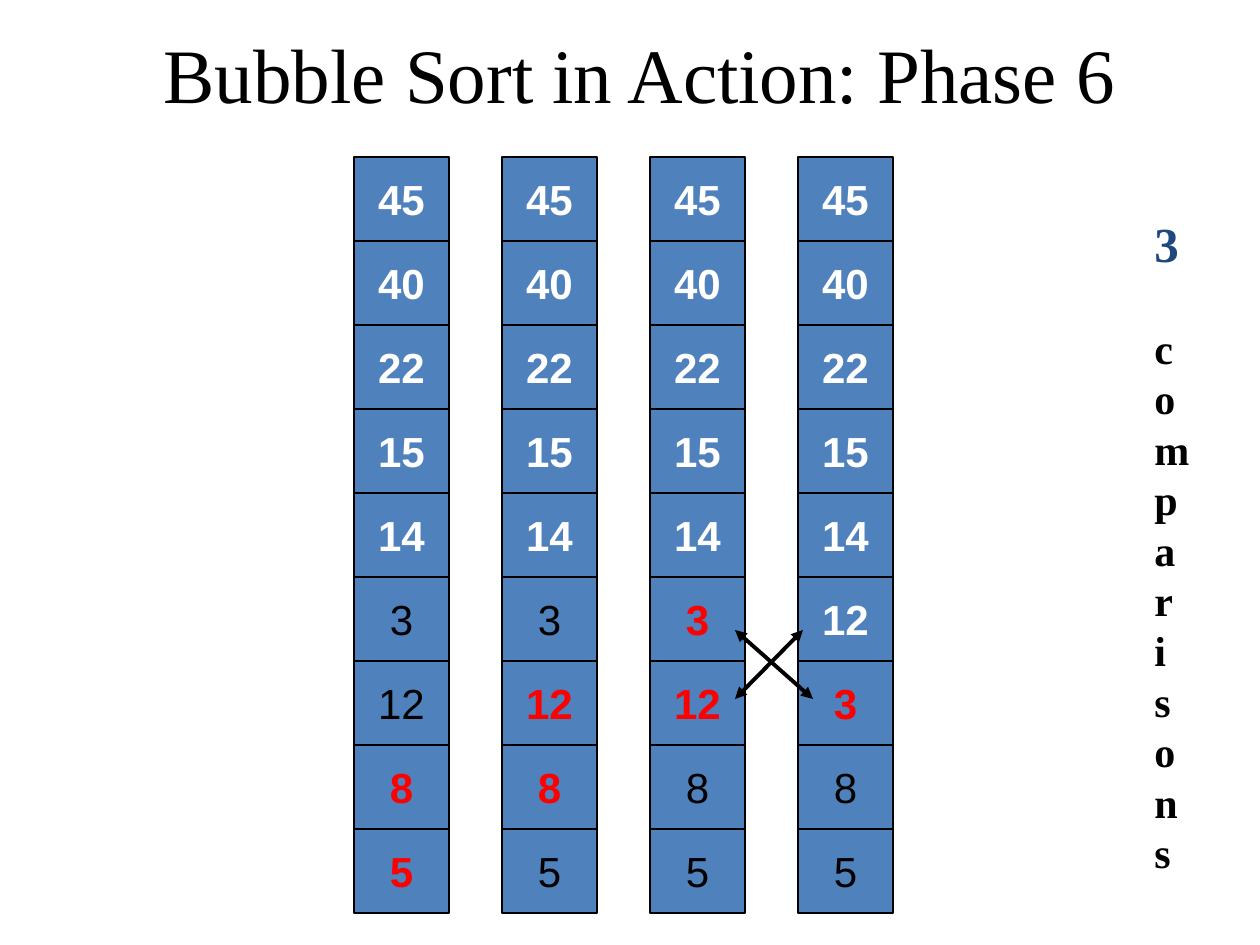
"""Build the slide showing phase 6 of a bubble sort, one column per step."""
from lxml import etree
from pptx import Presentation
from pptx import util as u
from pptx.dml.color import RGBColor
from pptx.enum import shapes, text
from pptx.oxml.ns import qn

TITLE = "Bubble Sort in Action: Phase 6"
BEFORE_SWAP = [45, 40, 22, 15, 14, 3, 12, 8, 5]
AFTER_SWAP = [45, 40, 22, 15, 14, 12, 3, 8, 5]
STEPS = [
    {"values": BEFORE_SWAP, "sorted": 5, "compared": (7, 8)},
    {"values": BEFORE_SWAP, "sorted": 5, "compared": (6, 7)},
    {"values": BEFORE_SWAP, "sorted": 5, "compared": (5, 6)},
    {"values": AFTER_SWAP, "sorted": 6, "compared": (6,)},
]
SWAP_ARROWS = [(735, 630, 813, 699), (803, 630, 735, 699)]

BLACK = RGBColor(0x00, 0x00, 0x00)
WHITE = RGBColor(0xFF, 0xFF, 0xFF)
RED = RGBColor(0xFF, 0x00, 0x00)
BLUE = RGBColor(0x4F, 0x81, 0xBD)
NAVY = RGBColor(0x1F, 0x49, 0x7D)
SERIF, SANS = "Times New Roman", "Arial"
COUNT_RUNS = [("3", 28, NAVY), (" comparisons", 24, BLACK)]

TITLE_BOX = (69, 20, 1142, 106)
COUNT_BOX = (1142, 207, 49, 677)
LEFT, TOP, PITCH = 354, 157, 148
CELL_WIDTH, CELL_HEIGHT = 95, 84


def px(*lengths):
    return [round(length * 914400 / 126) for length in lengths]


def add_run(paragraph, words, size, font, color, bold=False):
    run = paragraph.add_run()
    run.text = words
    run.font.size = u.Pt(size)
    run.font.name = font
    run.font.bold = bold
    run.font.color.rgb = color


def add_cell(group, box, value, color, bold):
    shape = group.shapes.add_shape(shapes.MSO_SHAPE.RECTANGLE, *px(*box))
    shape.shadow.inherit = False
    shape.fill.solid()
    shape.fill.fore_color.rgb = BLUE
    shape.line.color.rgb = BLACK
    shape.line.width = u.Pt(0.75)
    frame = shape.text_frame
    frame.word_wrap = False
    frame.vertical_anchor = text.MSO_ANCHOR.MIDDLE
    paragraph = frame.paragraphs[0]
    paragraph.alignment = text.PP_ALIGN.CENTER
    add_run(paragraph, str(value), 24, SANS, color, bold)


def add_step(slide, column, step):
    group = slide.shapes.add_group_shape()
    for row, value in enumerate(step["values"]):
        if row in step["compared"]:
            color = RED
        else:
            color = WHITE if row < step["sorted"] else BLACK
        box = (LEFT + column * PITCH, TOP + row * CELL_HEIGHT, CELL_WIDTH, CELL_HEIGHT)
        add_cell(group, box, value, color, color != BLACK)
    return group


def add_arrow(group, ends):
    connector = group.shapes.add_connector(shapes.MSO_CONNECTOR.STRAIGHT, *px(*ends))
    connector.line.color.rgb = BLACK
    connector.line.width = u.Pt(2.25)
    line = connector.line._get_or_add_ln()
    for end in ("a:headEnd", "a:tailEnd"):
        etree.SubElement(line, qn(end), type="triangle")
    etree.SubElement(connector._element.spPr, qn("a:effectLst"))


def main():
    presentation = Presentation()
    presentation.slide_width, presentation.slide_height = u.Inches(10), u.Inches(7.5)
    slide = presentation.slides.add_slide(presentation.slide_layouts[5])

    title = slide.shapes.title
    title.left, title.top, title.width, title.height = px(*TITLE_BOX)
    title.text_frame.auto_size = text.MSO_AUTO_SIZE.NONE
    title.text_frame.vertical_anchor = text.MSO_ANCHOR.MIDDLE
    paragraph = title.text_frame.paragraphs[0]
    paragraph.alignment = text.PP_ALIGN.CENTER
    add_run(paragraph, TITLE, 44, SERIF, BLACK)

    count = slide.shapes.add_textbox(*px(*COUNT_BOX))
    count.text_frame.word_wrap = True
    for words, size, color in COUNT_RUNS:
        add_run(count.text_frame.paragraphs[0], words, size, SERIF, color, True)

    groups = [add_step(slide, column, step) for column, step in enumerate(STEPS)]
    for ends in SWAP_ARROWS:
        add_arrow(groups[-1], ends)

    presentation.save("out.pptx")


if __name__ == "__main__":
    main()
